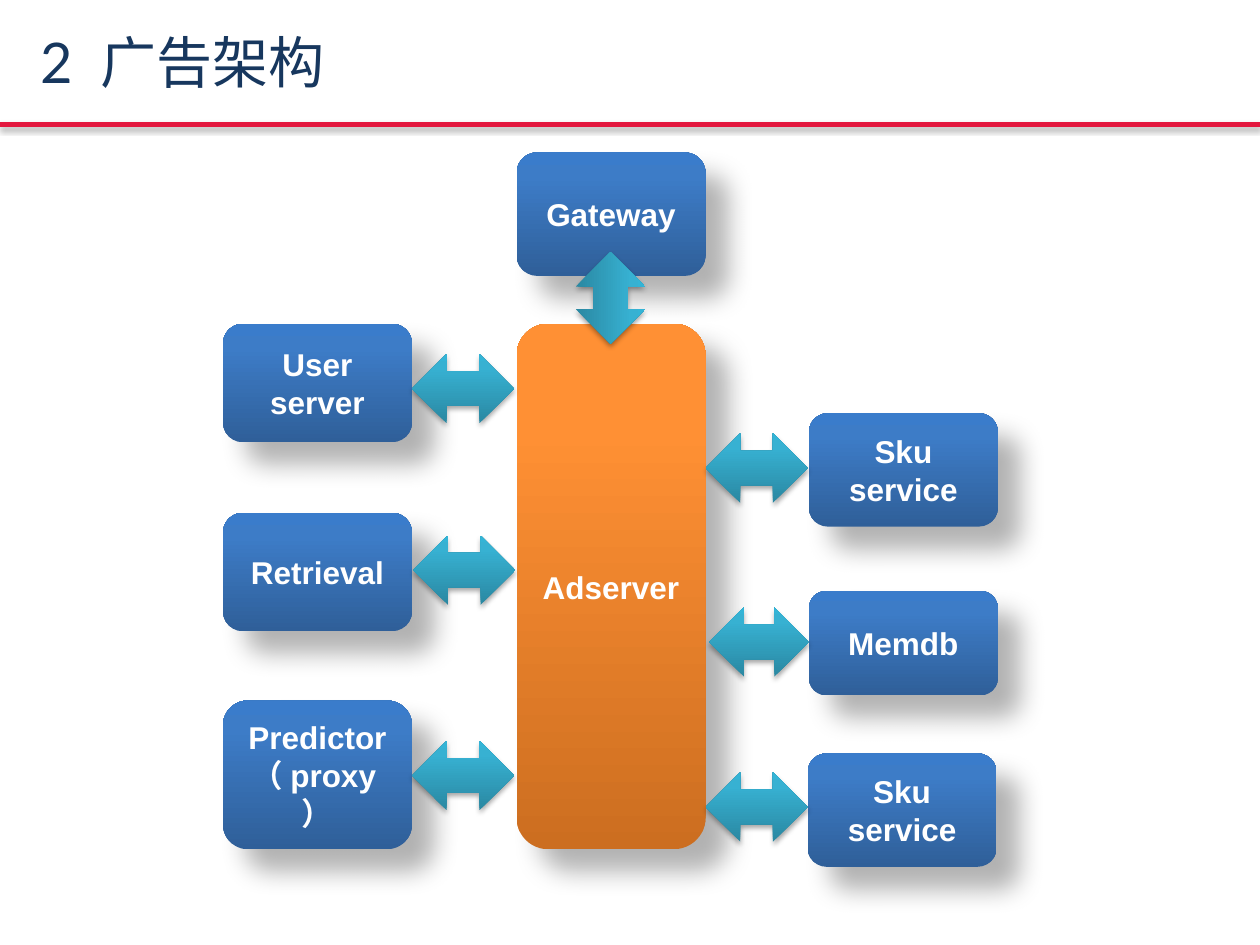
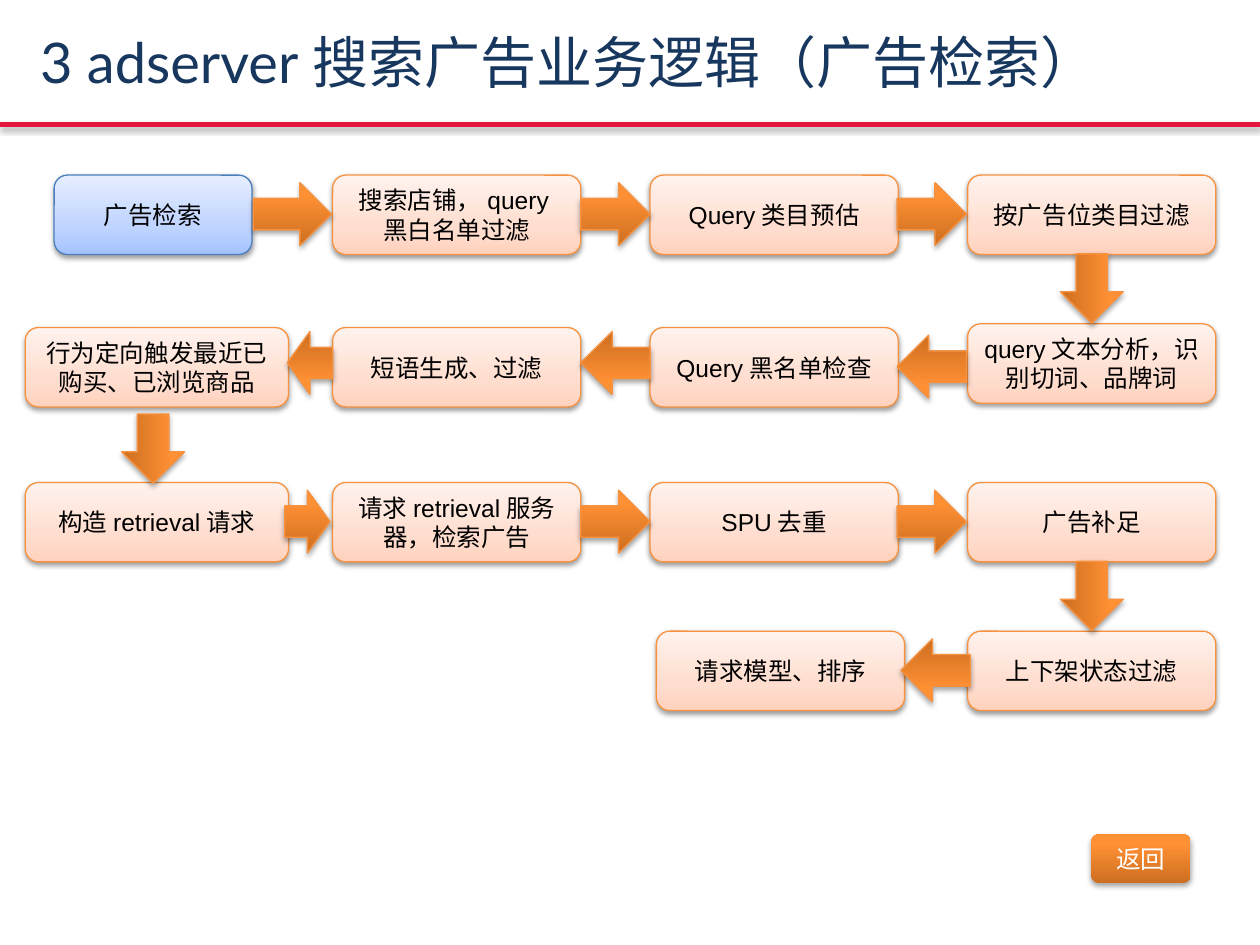
import pptx
import pptx.dml.color
import pptx.enum.shapes
import pptx.enum.text
import pptx.oxml
import pptx.oxml.ns
import pptx.util
from dataclasses import dataclass

SCALE = 9144  # EMU per px, 100 px to the inch
SHAPE = pptx.enum.shapes.MSO_SHAPE
RGB = pptx.dml.color.RGBColor.from_string


@dataclass(frozen=True)
class Theme:
    title_font: str = "Lato"
    body_font: str = "Arial"
    title_size: int = 32
    block_size: int = 18
    step_size: int = 14
    title: str = "17375E"
    rule: str = "E3173E"
    white: str = "FFFFFF"
    black: str = "000000"
    # Gradients: (position in percent, colour), bottom to top
    blue: tuple = ((0, "2F5F99"), (80, "3D7CC7"), (100, "3A7CCB"))
    orange: tuple = ((0, "CC6E20"), (80, "FF9034"), (100, "FF9136"))
    teal: tuple = ((0, "2A88A2"), (80, "37B1D2"), (100, "34B4D6"))
    pale_blue: tuple = ((0, "A4C4FF"), (35, "BFD4FF"), (100, "E6EEFF"))
    pale_orange: tuple = ((0, "FFD2BD"), (35, "FFDED0"), (100, "FFF2ED"))
    blue_line: str = "4B7EBC"
    orange_line: str = "F69240"
    # Shadows: opacity in percent, blur and distance in points, angle
    deep: tuple = (30, 15, 18, 45)
    soft: tuple = (35, 3.1, 1.8, 90)
    card: tuple = (38, 3.1, 1.6, 90)


T = Theme()


def px(n):
    return pptx.util.Emu(n * SCALE)


# XML helpers
def set_shadow(sp, shadow):
    alpha, blur, dist, angle = shadow
    for old in sp._element.spPr.findall(pptx.oxml.ns.qn("a:effectLst")):
        sp._element.spPr.remove(old)
    sp._element.spPr.append(pptx.oxml.parse_xml(
        f'<a:effectLst {pptx.oxml.ns.nsdecls("a")}>'
        f'<a:outerShdw blurRad="{round(blur * 12700)}" dist="{round(dist * 12700)}" '
        f'dir="{angle * 60000}" algn="ctr" rotWithShape="0"><a:srgbClr val="{T.black}">'
        f'<a:alpha val="{alpha * 1000}"/></a:srgbClr></a:outerShdw></a:effectLst>'))


def set_gradient(sp, stops):
    sp.fill.gradient()
    grad = sp._element.spPr.find(pptx.oxml.ns.qn("a:gradFill"))
    gs = "".join(f'<a:gs pos="{pos * 1000}"><a:srgbClr val="{color}"/></a:gs>'
                 for pos, color in stops)
    new = pptx.oxml.parse_xml(
        f'<a:gradFill {pptx.oxml.ns.nsdecls("a")} rotWithShape="1">'
        f'<a:gsLst>{gs}</a:gsLst><a:lin ang="16200000" scaled="0"/></a:gradFill>')
    grad.getparent().replace(grad, new)


# Element kinds
def set_font(p, name, size, color, bold=False):
    p.font.name = name
    p.font.size = pptx.util.Pt(size)
    p.font.color.rgb = RGB(color)
    p.font.bold = bold


def add_slide(prs, title):
    slide = prs.slides.add_slide(prs.slide_layouts[6])
    rule = slide.shapes.add_connector(
        pptx.enum.shapes.MSO_CONNECTOR.STRAIGHT, 0, px(99), px(1000), px(99))
    rule.line.color.rgb = RGB(T.rule)
    rule.line.width = pptx.util.Pt(3)
    set_shadow(rule, T.soft)
    tf = slide.shapes.add_textbox(px(22), px(7), px(959), px(83)).text_frame
    tf.word_wrap = True
    tf.vertical_anchor = pptx.enum.text.MSO_ANCHOR.MIDDLE
    p = tf.paragraphs[0]
    p.text = title
    set_font(p, T.title_font, T.title_size, T.title)
    return slide


def add_solid(slide, kind, box, stops, shadow, line=None):
    sp = slide.shapes.add_shape(kind, *map(px, box))
    sp.shadow.inherit = False
    set_gradient(sp, stops)
    if line:
        sp.line.color.rgb = RGB(line)
        sp.line.width = pptx.util.Pt(0.75)
    else:
        sp.line.fill.background()
    set_shadow(sp, shadow)
    return sp


def add_label(sp, text, size, color, bold=False):
    tf = sp.text_frame
    tf.word_wrap = True
    tf.vertical_anchor = pptx.enum.text.MSO_ANCHOR.MIDDLE
    tf.text = text
    for p in tf.paragraphs:
        p.alignment = pptx.enum.text.PP_ALIGN.CENTER
        set_font(p, T.body_font, size, color, bold)
    return tf


def add_block(slide, text, box, stops=T.blue):
    sp = add_solid(slide, SHAPE.ROUNDED_RECTANGLE, box, stops, T.deep)
    add_label(sp, text, T.block_size, T.white, bold=True)


def add_step(slide, text, box, stops=T.pale_orange, line=T.orange_line):
    sp = add_solid(slide, SHAPE.ROUNDED_RECTANGLE, box, stops, T.card, line)
    return add_label(sp, text, T.step_size, T.black)


def add_link(slide, x, y, w=81, rotation=0):
    sp = add_solid(slide, SHAPE.LEFT_RIGHT_ARROW, (x, y, w, 55), T.teal, T.soft)
    sp.rotation = rotation


def add_arrow(slide, x, y, w=55, rotation=0):
    sp = add_solid(slide, SHAPE.RIGHT_ARROW, (x, y, w, 50), T.orange, T.soft,
                   T.orange_line)
    sp.rotation = rotation


# Slides
def build_architecture(prs):
    slide = add_slide(prs, "2 广告架构")
    add_block(slide, "Adserver", (410, 257, 150, 417), T.orange)
    for text, x, y, h in (
            ("Gateway", 410, 121, 98),
            ("User server", 177, 257, 94),
            ("Retrieval", 177, 407, 94),
            ("Predictor\n（proxy）", 177, 556, 118),
            ("Sku service", 642, 328, 90),
            ("Memdb", 642, 469, 83),
            ("Sku service", 641, 598, 90)):
        add_block(slide, text, (x, y, 150, h))

    add_link(slide, 448, 209, 73, rotation=90)
    for x, y in ((327, 281), (328, 425), (327, 588), (560, 344), (560, 613)):
        add_link(slide, x, y)
    add_link(slide, 563, 482, 79)


def build_search_flow(prs):
    slide = add_slide(prs, "3 adserver搜索广告业务逻辑（广告检索）")

    # Steps
    add_step(slide, "广告检索", (43, 139, 157, 63), T.pale_blue, T.blue_line)
    cols = ((20, 209), (264, 197), (516, 197), (768, 197))
    rows = (
        (139, (None, "搜索店铺，query黑白名单过滤", "Query类目预估", "按广告位类目过滤")),
        (260, ("行为定向触发最近已购买、已浏览商品", "短语生成、过滤", "Query黑名单检查", None)),
        (383, ("构造retrieval请求", "请求retrieval服务器，检索广告", "SPU去重", "广告补足")),
        (501, (None, None, None, "上下架状态过滤")))
    for y, texts in rows:
        for (x, w), text in zip(cols, texts):
            if text:
                add_step(slide, text, (x, y, w, 63))
    add_step(slide, "请求模型、排序", (521, 501, 197, 63))
    tf = add_step(slide, "query", (768, 257, 197, 63))
    r = tf.paragraphs[0].add_run()
    r.text = "文本分析，识别切词、品牌词"
    r.font.name = T.title_font

    # Arrows: right, down, left
    add_arrow(slide, 201, 145, 62)
    add_arrow(slide, 226, 389, 36)
    for y in (145, 389):
        for x in (461, 712):
            add_arrow(slide, x, y)
    for x, y in ((839, 204), (94, 331), (839, 448)):
        add_arrow(slide, x, y, rotation=90)
    for x, y, w in ((712, 266, 55), (461, 263, 55), (228, 263, 36), (715, 507, 55)):
        add_arrow(slide, x, y, w, rotation=180)

    # Back button
    button = add_solid(slide, SHAPE.ROUNDED_RECTANGLE, (866, 662, 79, 39),
                       T.orange, T.soft)
    add_label(button, "返回", T.step_size, T.white)


def main():
    prs = pptx.Presentation()
    prs.slide_width, prs.slide_height = px(1000), px(750)
    build_architecture(prs)
    build_search_flow(prs)
    prs.save("out.pptx")


if __name__ == "__main__":
    main()
